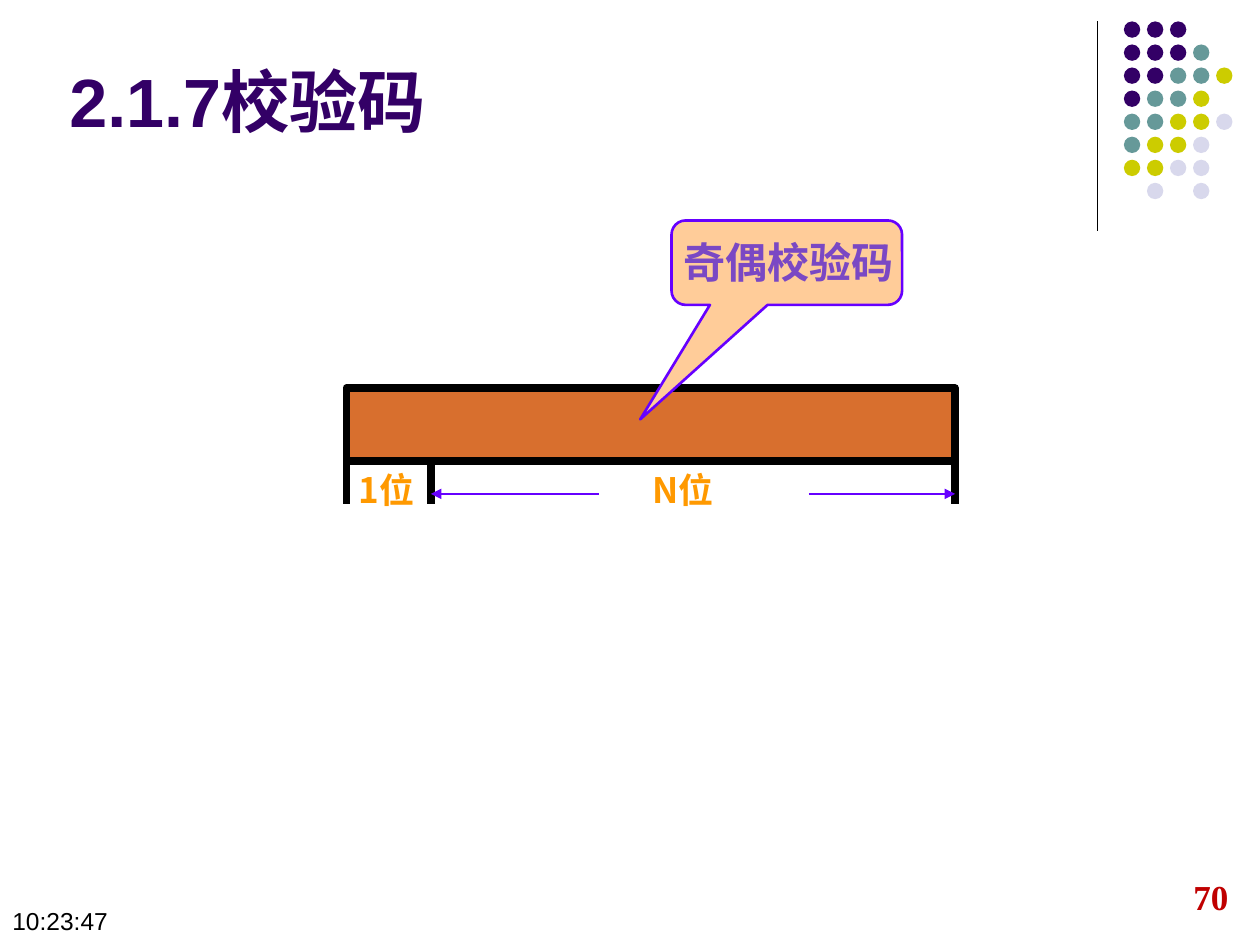
from lxml.etree import SubElement
from pptx import Presentation
from pptx.dml.color import RGBColor
from pptx.enum.shapes import MSO_CONNECTOR, MSO_SHAPE
from pptx.enum.text import MSO_ANCHOR, PP_ALIGN
from pptx.oxml.ns import qn
from pptx.util import Inches, Pt

BLACK = RGBColor(0x00, 0x00, 0x00)
INDIGO = RGBColor(0x33, 0x00, 0x66)
TEAL = RGBColor(0x66, 0x99, 0x99)
OLIVE = RGBColor(0xCC, 0xCC, 0x00)
LAVENDER = RGBColor(0xD8, 0xD8, 0xEC)
VIOLET = RGBColor(0x66, 0x00, 0xFF)
PURPLE = RGBColor(0x7A, 0x48, 0xC4)
ORANGE = RGBColor(0xFF, 0x99, 0x00)
RUST = RGBColor(0xD8, 0x6F, 0x2E)
PEACH = RGBColor(0xFF, 0xCC, 0x99)
RED = RGBColor(0xC0, 0x00, 0x00)

HAN_FONT = "Noto Sans CJK SC"
DOT_COLOURS = {"I": INDIGO, "T": TEAL, "O": OLIVE, "L": LAVENDER}
DOT_ROWS = ["III", "IIIT", "IITTO", "ITTO", "TTOOL", "TOOL", "OOLL", ".L.L"]


def write(box, text, font, size, colour, bold=True, align=PP_ALIGN.LEFT):
    """Put one formatted line of text into a box or placeholder."""
    frame = box.text_frame
    frame.word_wrap = True
    para = frame.paragraphs[0]
    para.alignment = align
    span = para.add_run()
    span.text = text
    span.font.name = font
    span.font.size = Pt(size)
    span.font.bold = bold
    span.font.color.rgb = colour
    SubElement(span.font._element, qn("a:ea")).set("typeface", HAN_FONT)


def add_label(page, place, *style, **options):
    box = page.shapes.add_textbox(*map(Inches, place))
    write(box, *style, **options)


def add_line(page, start, end, colour, width, arrow=False):
    line = page.shapes.add_connector(
        MSO_CONNECTOR.STRAIGHT, *map(Inches, start + end))
    line.line.color.rgb = colour
    line.line.width = Pt(width)
    if arrow:
        SubElement(line.line._get_or_add_ln(), qn("a:tailEnd")).set("type", "triangle")
    SubElement(line._element.spPr, qn("a:effectLst"))


def add_figure(page, kind, place, fill, outline=None, width=0):
    figure = page.shapes.add_shape(kind, *map(Inches, place))
    figure.shadow.inherit = False
    figure.fill.solid()
    figure.fill.fore_color.rgb = fill
    if outline is None:
        figure.line.fill.background()
    else:
        figure.line.color.rgb = outline
        figure.line.width = Pt(width)
    return figure


def add_ornament(page):
    add_line(page, (8.71, 0.17), (8.71, 1.83), BLACK, 0.75)
    for row, codes in enumerate(DOT_ROWS):
        for column, code in enumerate(codes):
            if code in DOT_COLOURS:
                place = (8.92 + 0.183 * column, 0.17 + 0.183 * row, 0.13, 0.13)
                add_figure(page, MSO_SHAPE.OVAL, place, DOT_COLOURS[code])


def add_title(page):
    title = page.shapes.title
    title.left, title.top, title.width, title.height = map(
        Inches, (0.45, 0.36, 3.53, 0.87))
    title.text_frame.vertical_anchor = MSO_ANCHOR.MIDDLE
    write(title, "2.1.7校验码", "Arial", 39, INDIGO)


def add_code_word(page):
    left, split, right = 2.75, 3.42, 7.58
    # Field boundaries
    for x, top in ((split, 3.08), (right, 3.5), (left, 3.5)):
        add_line(page, (x, top), (x, 4), BLACK, 4.5)
    # Field widths
    add_line(page, (6.42, 3.92), (right, 3.92), VIOLET, 1.5, arrow=True)
    add_line(page, (4.75, 3.92), (split, 3.92), VIOLET, 1.5, arrow=True)
    for x, text in ((5.08, "N位"), (left, "1位")):
        add_label(page, (x, 3.67, 1.17, 0.43), text, HAN_FONT, 20, ORANGE)
    # Code word bar
    add_figure(page, MSO_SHAPE.RECTANGLE, (left, 3.08, right - left, 0.58),
               RUST, BLACK, 4.5)


def add_callout(page):
    callout = add_figure(page, MSO_SHAPE.ROUNDED_RECTANGULAR_CALLOUT,
                         (5.33, 1.75, 1.83, 0.67), PEACH, VIOLET, 1.5)
    for index, value in enumerate((-0.636, 1.857, 0.167)):
        callout.adjustments[index] = value
    add_label(page, (5.33, 1.83, 2.17, 0.5), "奇偶校验码",
              "Times New Roman", 24, PURPLE)


def main():
    deck = Presentation()
    deck.slide_width, deck.slide_height = Inches(10), Inches(7.5)
    page = deck.slides.add_slide(deck.slide_layouts[5])
    add_ornament(page)
    add_code_word(page)
    add_callout(page)
    add_title(page)
    # Page number and time
    add_label(page, (9.33, 6.9, 0.56, 0.5), "70", "Times New Roman", 20, RED,
              align=PP_ALIGN.CENTER)
    add_label(page, (0, 7.14, 2.24, 0.34), "10:23:47", "Arial", 14, BLACK,
              bold=False)
    deck.save("out.pptx")


if __name__ == "__main__":
    main()
